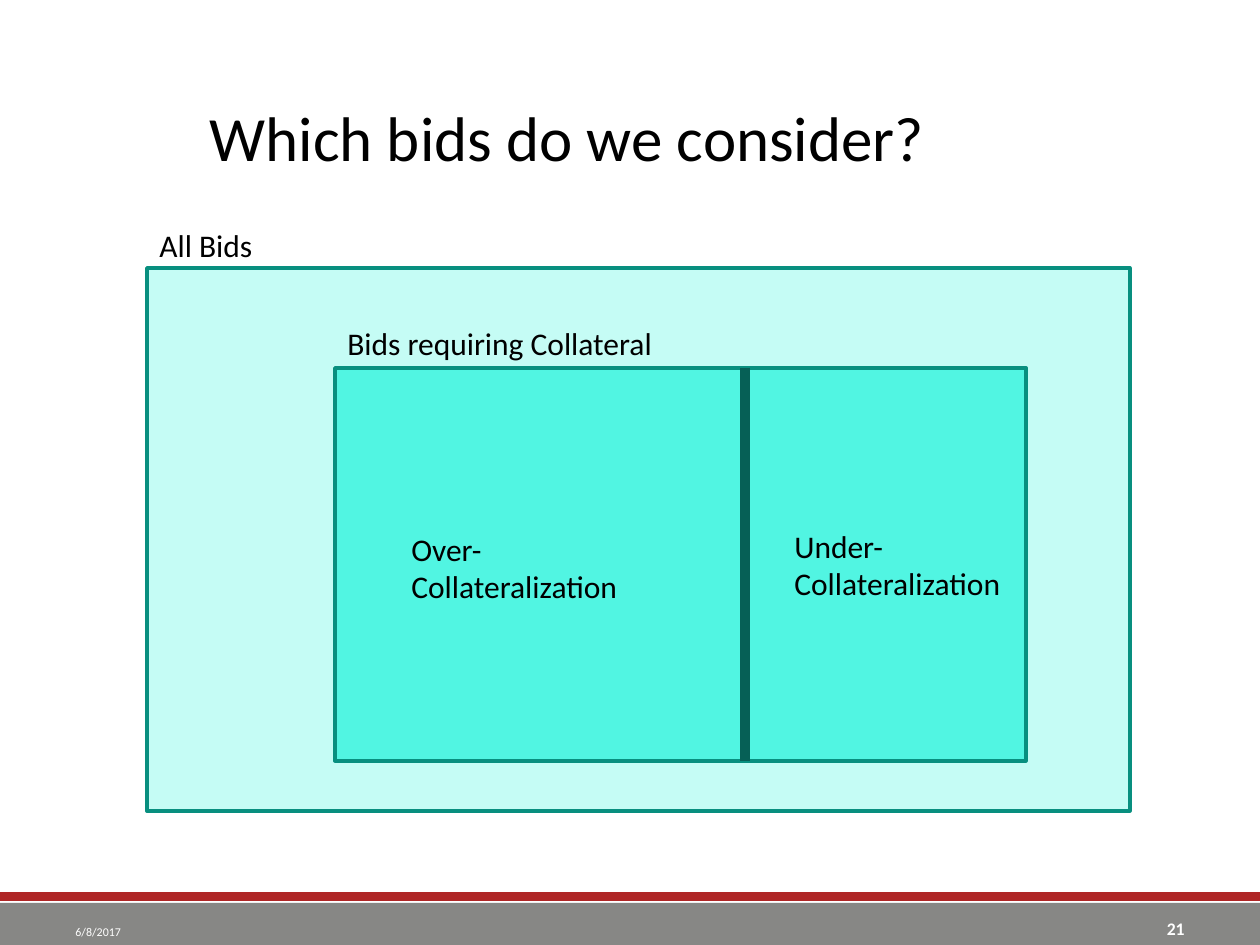
from dataclasses import dataclass
from typing import Optional

from lxml.etree import SubElement
from pptx import Presentation
from pptx.dml.color import RGBColor
from pptx.enum.shapes import MSO_CONNECTOR as Connector, MSO_SHAPE as Shape
from pptx.enum.text import MSO_ANCHOR as Anchor, PP_ALIGN as Align
from pptx.oxml.ns import qn
from pptx.util import Emu, Pt

EMU_PER_PIXEL = 914400 / 126


@dataclass(frozen=True)
class Theme:
    font: str = "Calibri"
    ink: str = "000000"
    paper: str = "FFFFFF"
    red: str = "AF2626"
    gray: str = "878785"
    pale: str = "C5FCF5"
    bright: str = "51F5E2"
    outline: str = "088F7F"
    divider: str = "066056"
    title_size: float = 36
    label_size: float = 18
    number_size: float = 10.1
    date_size: float = 6.8
    outline_width: float = 2
    divider_width: float = 6


THEME = Theme()


@dataclass(frozen=True)
class Area:
    left: int
    top: int
    width: int
    height: int

    def emu(self) -> list[Emu]:
        return [px(n) for n in (self.left, self.top, self.width, self.height)]


@dataclass(frozen=True)
class Panel:
    area: Area
    fill: str
    outline: Optional[str] = None


@dataclass(frozen=True)
class Label:
    area: Area
    text: str
    size: float = THEME.label_size
    color: str = THEME.ink
    bold: bool = False
    align: Align = Align.LEFT
    anchor: Anchor = Anchor.MIDDLE


def px(pixels: int) -> Emu:
    return Emu(round(pixels * EMU_PER_PIXEL))


def rgb(value: str) -> RGBColor:
    return RGBColor.from_string(value)


def write_label(box, label: Label) -> None:
    box.left, box.top, box.width, box.height = label.area.emu()
    frame = box.text_frame
    frame.text = label.text
    frame.word_wrap = True
    frame.vertical_anchor = label.anchor
    para = frame.paragraphs[0]
    para.alignment = label.align
    font = para.runs[0].font
    font.name = THEME.font
    font.size = Pt(label.size)
    font.bold = label.bold
    font.color.rgb = rgb(label.color)


def add_label(page, label: Label) -> None:
    write_label(page.shapes.add_textbox(*label.area.emu()), label)


def add_panel(page, panel: Panel) -> None:
    box = page.shapes.add_shape(Shape.RECTANGLE, *panel.area.emu())
    box.shadow.inherit = False
    box.fill.solid()
    box.fill.fore_color.rgb = rgb(panel.fill)
    if panel.outline:
        box.line.color.rgb = rgb(panel.outline)
        box.line.width = Pt(THEME.outline_width)
    else:
        box.line.fill.background()


def add_divider(page, x: int, top: int, bottom: int) -> None:
    line = page.shapes.add_connector(
        Connector.STRAIGHT, px(x), px(top), px(x), px(bottom))
    line.line.color.rgb = rgb(THEME.divider)
    line.line.width = Pt(THEME.divider_width)
    SubElement(line._element.spPr, qn("a:effectLst"))


ALL_BIDS = Area(147, 268, 983, 543)
COLLATERAL = Area(335, 368, 691, 393)

PANELS = [
    Panel(Area(0, 892, 1260, 9), THEME.red),
    Panel(Area(0, 903, 1260, 42), THEME.gray),
    Panel(ALL_BIDS, THEME.pale, THEME.outline),
    Panel(COLLATERAL, THEME.bright, THEME.outline),
]

LABELS = [
    Label(Area(903, 895, 294, 50), "21", THEME.number_size, THEME.paper,
          True, Align.RIGHT, Anchor.BOTTOM),
    Label(Area(63, 895, 294, 50), "6/8/2017", THEME.date_size, THEME.paper,
          anchor=Anchor.BOTTOM),
    Label(Area(ALL_BIDS.left, 221, 214, 48), "All Bids"),
    Label(Area(COLLATERAL.left, 319, 367, 48), "Bids requiring Collateral"),
    Label(Area(399, 516, 242, 103), "Over-Collateralization"),
    Label(Area(782, 513, 242, 103), "Under-Collateralization"),
]

TITLE = Label(Area(0, 76, 1134, 120), "Which bids do we consider?",
              THEME.title_size, align=Align.CENTER)


def main() -> None:
    deck = Presentation()
    deck.slide_width, deck.slide_height = px(1260), px(945)
    page = deck.slides.add_slide(deck.slide_layouts.get_by_name("Title Only"))
    write_label(page.shapes.title, TITLE)
    for panel in PANELS:
        add_panel(page, panel)
    add_divider(page, 745, COLLATERAL.top, COLLATERAL.top + COLLATERAL.height)
    for label in LABELS:
        add_label(page, label)
    deck.save("out.pptx")


main()
